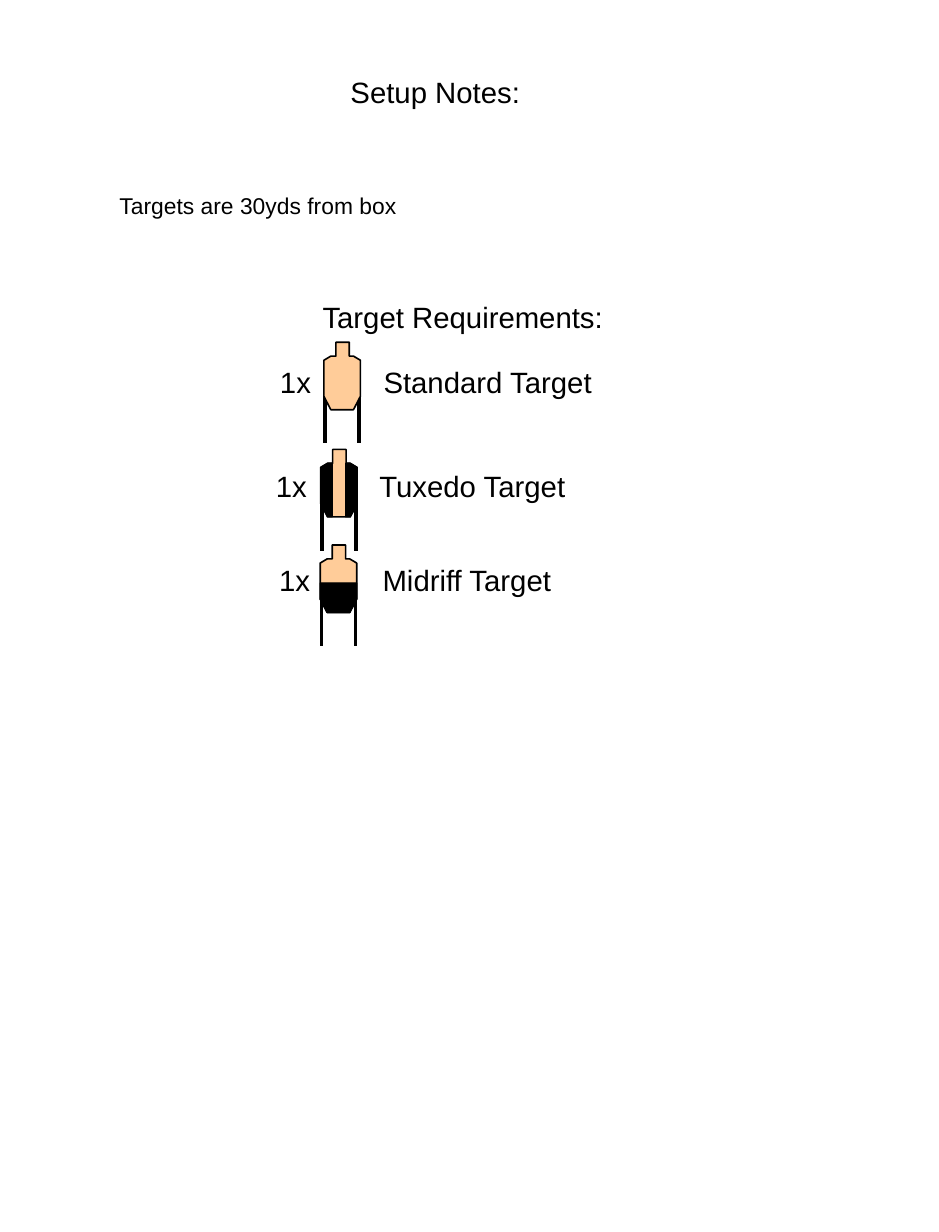
from dataclasses import dataclass

from lxml import etree
from pptx import Presentation
from pptx import util as u
from pptx.dml.color import RGBColor
from pptx.enum import shapes, text
from pptx.oxml import ns

BLACK, TAN = "000000", "FFCC99"
Points = list[tuple[float, float]]

# Target geometry in cm, measured from the top left of its bounding box
WIDTH = 0.79
OUTLINE: Points = [(0.26, 0), (0.55, 0), (0.55, 0.3), (0.64, 0.3), (WIDTH, 0.39),
                   (WIDTH, 1.17), (0.64, 1.46), (0.15, 1.46), (0, 1.17),
                   (0, 0.39), (0.15, 0.3), (0.26, 0.3)]
LEFT_PANEL: Points = [(0.25, 0.3), (0.25, 1.46), (0.15, 1.46), (0, 1.18),
                      (0, 0.39), (0.15, 0.3)]
RIGHT_PANEL: Points = [(WIDTH - x, y) for x, y in LEFT_PANEL]
LOWER_PANEL: Points = [(0, 0.82), (WIDTH, 0.82), (WIDTH, 1.17), (0.64, 1.46),
                       (0.15, 1.46), (0, 1.17)]
POSTS, POST_TOP, POST_BOTTOM = (0.03, 0.76), 1.08, 2.19


@dataclass
class Target:
    name: str
    left: float
    top: float
    label_left: float
    label_top: float
    label_width: float
    panels: list[Points]


TARGETS = [
    Target("Standard Target", 7.01, 7.41, 5.81, 7.75, 7.4, []),
    Target("Tuxedo Target", 6.94, 9.73, 5.72, 10, 6.9, [LEFT_PANEL, RIGHT_PANEL]),
    Target("Midriff Target", 6.93, 11.8, 5.79, 12.04, 6.6, [LOWER_PANEL]),
]


def rgb(value: str) -> RGBColor:
    return RGBColor.from_string(value)


def write(box, words: str, size: int, left: float, top: float,
          width: float, height: float, tab: float = 0) -> None:
    """Place a text shape and fill it with one plain left-aligned paragraph."""
    box.left, box.top, box.width, box.height = map(u.Cm, (left, top, width, height))
    frame = box.text_frame
    frame.word_wrap = True
    frame.auto_size = text.MSO_AUTO_SIZE.NONE
    frame.vertical_anchor = text.MSO_ANCHOR.TOP
    frame.text = words
    para = frame.paragraphs[0]
    para.alignment = text.PP_ALIGN.LEFT
    para.space_before = u.Pt(0)
    props = para._p.get_or_add_pPr()
    if box.is_placeholder:
        props.set("marL", "0")
        props.set("indent", "0")
        etree.SubElement(props, ns.qn("a:buNone"))
    if tab:
        stops = etree.SubElement(props, ns.qn("a:tabLst"))
        etree.SubElement(stops, ns.qn("a:tab"), pos=str(u.Cm(tab)), algn="l")
    para.font.name = "Arial"
    para.font.size = u.Pt(size)
    para.font.color.rgb = rgb(BLACK)


def add_polygon(group, target: Target, points: Points, fill: str, weight: float) -> None:
    corners = [(u.Cm(target.left + x), u.Cm(target.top + y)) for x, y in points]
    builder = group.shapes.build_freeform(*corners[0])
    builder.add_line_segments(corners[1:], close=True)
    shape = builder.convert_to_shape()
    shape.shadow.inherit = False
    shape.fill.solid()
    shape.fill.fore_color.rgb = rgb(fill)
    shape.line.color.rgb = rgb(BLACK)
    shape.line.width = u.Pt(weight)


def add_post(group, target: Target, offset: float) -> None:
    x = u.Cm(target.left + offset)
    post = group.shapes.add_connector(
        shapes.MSO_CONNECTOR.STRAIGHT, x, u.Cm(target.top + POST_TOP),
        x, u.Cm(target.top + POST_BOTTOM))
    post.line.color.rgb = rgb(BLACK)
    post.line.width = u.Pt(2.25)
    etree.SubElement(post._element.spPr, ns.qn("a:effectLst"))


def add_target(page, target: Target) -> None:
    group = page.shapes.add_group_shape()
    for offset in POSTS:
        add_post(group, target, offset)
    add_polygon(group, target, OUTLINE, TAN, 1)
    for panel in target.panels:
        add_polygon(group, target, panel, BLACK, 0)
    write(page.shapes.add_textbox(0, 0, 0, 0), f"1x\t{target.name}", 18,
          target.label_left, target.label_top, target.label_width, 1.02, tab=2.24)


def main() -> None:
    deck = Presentation()
    deck.slide_width, deck.slide_height = u.Cm(20.32), u.Cm(26.67)
    page = deck.slides.add_slide(deck.slide_layouts[1])
    write(page.shapes.title, "Setup Notes:", 18, 7.33, 1.47, 4.4, 1.02)
    write(page.placeholders[1], "Targets are 30yds from box", 14, 2.33, 4.03, 15.67, 0.86)
    write(page.shapes.add_textbox(0, 0, 0, 0), "Target Requirements:", 18,
          6.73, 6.35, 6.9, 1.02)
    for target in TARGETS:
        add_target(page, target)
    deck.save("out.pptx")


if __name__ == "__main__":
    main()
